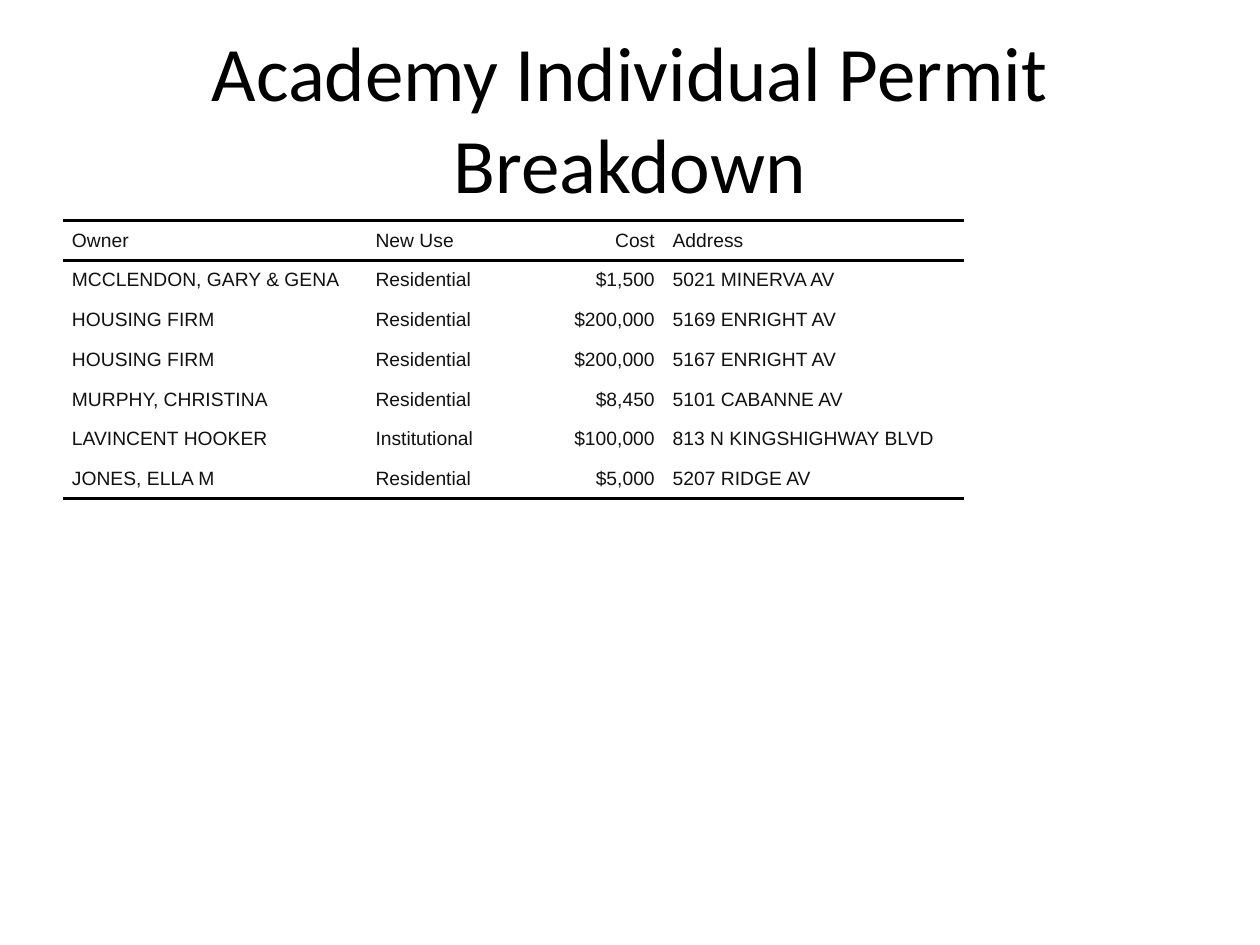
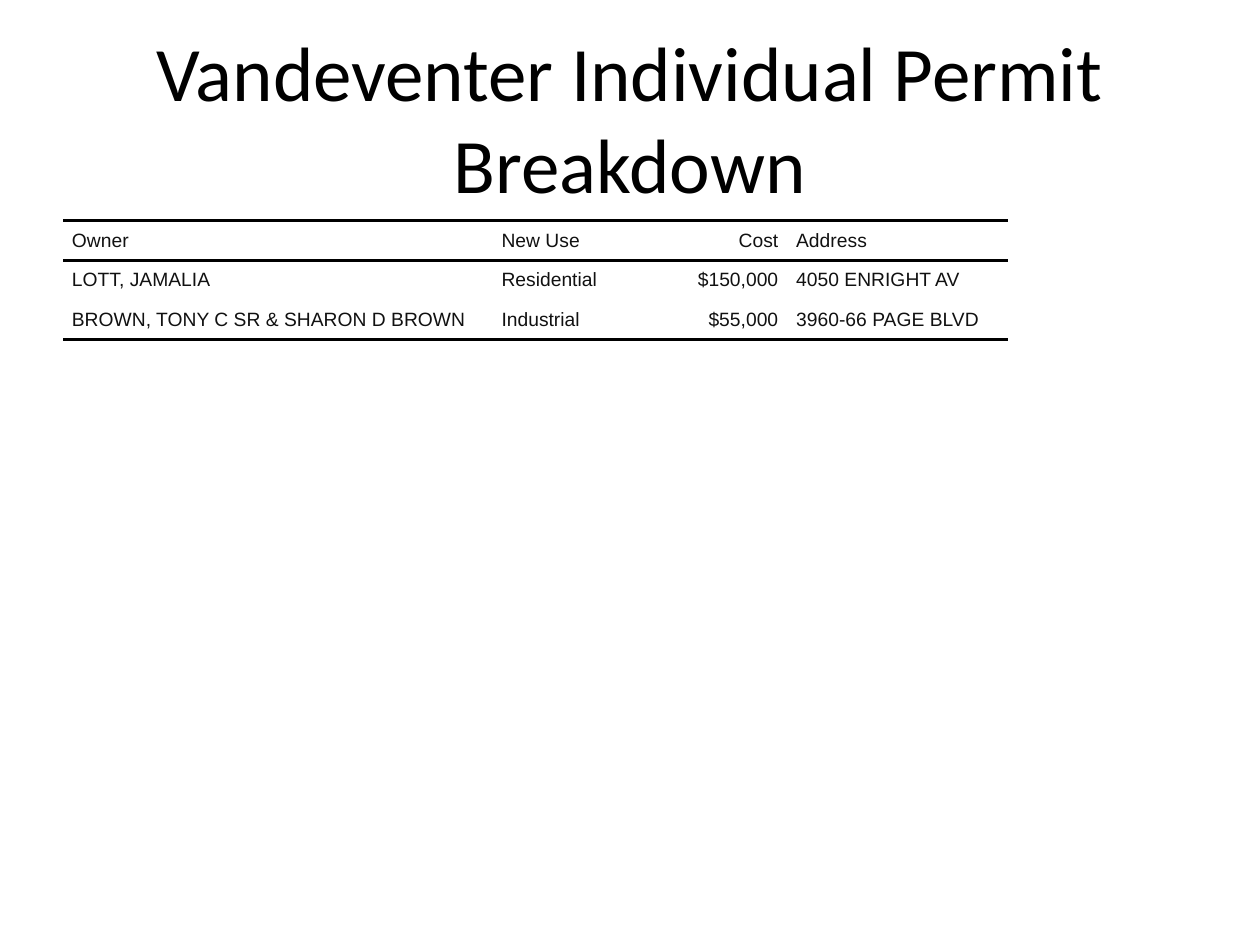
from pptx import Presentation
from pptx.dml.color import RGBColor
from pptx.enum.text import MSO_ANCHOR, MSO_AUTO_SIZE, PP_ALIGN
from pptx.oxml.ns import qn
from pptx.util import Cm, Pt
from lxml import etree

MIDDLE = MSO_ANCHOR.MIDDLE
NO_AUTOFIT = MSO_AUTO_SIZE.NONE
LEFT, CENTER, RIGHT = PP_ALIGN.LEFT, PP_ALIGN.CENTER, PP_ALIGN.RIGHT

BLACK = RGBColor(0x00, 0x00, 0x00)
INK = RGBColor(0x11, 0x11, 0x11)
TITLE_FONT, TABLE_FONT = "Calibri", "Arial"

TITLE_ONLY = 5
TITLE_BOX = (Cm(1.27), Cm(0.76), Cm(22.86), Cm(3.18))
TABLE_ORIGIN = (Cm(1.27), Cm(4.45))
ROW_HEIGHT = Cm(0.8)
CELL_INDENT = Cm(0.18)
RULE_WIDTH = Pt(2)

HEADINGS = ("Owner", "New Use", "Cost", "Address")
ALIGNMENTS = (LEFT, LEFT, RIGHT, LEFT)

ACADEMY_PERMITS = [
    ("MCCLENDON, GARY & GENA", "Residential", "$1,500", "5021 MINERVA AV"),
    ("HOUSING FIRM", "Residential", "$200,000", "5169 ENRIGHT AV"),
    ("HOUSING FIRM", "Residential", "$200,000", "5167 ENRIGHT AV"),
    ("MURPHY, CHRISTINA", "Residential", "$8,450", "5101 CABANNE AV"),
    ("LAVINCENT HOOKER", "Institutional", "$100,000", "813 N KINGSHIGHWAY BLVD"),
    ("JONES, ELLA M", "Residential", "$5,000", "5207 RIDGE AV"),
]
VANDEVENTER_PERMITS = [
    ("LOTT, JAMALIA", "Residential", "$150,000", "4050 ENRIGHT AV"),
    ("BROWN, TONY C SR & SHARON D BROWN", "Industrial", "$55,000", "3960-66 PAGE BLVD"),
]
PERMIT_SLIDES = [
    ("Academy", ACADEMY_PERMITS, (6.12, 2.69, 3.3, 6.05)),
    ("Vandeventer", VANDEVENTER_PERMITS, (8.66, 2.64, 3.3, 4.45)),
]


def write_text(frame, text, font, size, color, align, indent=0, spacing=0):
    """Fill a text frame with one formatted paragraph."""
    frame.word_wrap = True
    paragraph = frame.paragraphs[0]
    paragraph.alignment = align
    paragraph.space_before = paragraph.space_after = Pt(spacing)
    properties = paragraph._p.get_or_add_pPr()
    for side in ("marL", "marR"):
        properties.set(side, str(int(indent)))
    properties.set("indent", "0")
    run = paragraph.add_run()
    run.text = text
    run.font.name = font
    run.font.size = Pt(size)
    run.font.color.rgb = color


def set_borders(cell, ruled_sides):
    """Draw rules on the named cell sides and clear the others."""
    properties = cell._tc.get_or_add_tcPr()
    for position, side in enumerate(("L", "R", "T", "B")):
        line = etree.Element(qn(f"a:ln{side}"))
        if side in ruled_sides:
            line.set("w", str(int(RULE_WIDTH)))
            fill = etree.SubElement(line, qn("a:solidFill"))
            etree.SubElement(fill, qn("a:srgbClr"), val=str(BLACK))
        else:
            etree.SubElement(line, qn("a:noFill"))
        properties.insert(position, line)


def add_title(slide, text, box):
    """Place and format the title placeholder."""
    title = slide.shapes.title
    title.left, title.top, title.width, title.height = box
    title.text_frame.auto_size = NO_AUTOFIT
    title.text_frame.vertical_anchor = MIDDLE
    write_text(title.text_frame, text, font=TITLE_FONT, size=44, color=BLACK, align=CENTER)


def add_permit_table(slide, permits, column_widths, origin):
    """Add a table ruled above and below its heading and after its last row."""
    rows = [HEADINGS, *permits]
    widths = [Cm(width) for width in column_widths]
    table = slide.shapes.add_table(
        len(rows), len(widths), *origin, sum(widths), ROW_HEIGHT * len(rows)
    ).table
    table.first_row = table.horz_banding = False
    for column, width in zip(table.columns, widths):
        column.width = width
    for row_index, values in enumerate(rows):
        table.rows[row_index].height = ROW_HEIGHT
        ruled_sides = "T" if row_index <= 1 else ""
        if row_index in (0, len(rows) - 1):
            ruled_sides += "B"
        for column_index, value in enumerate(values):
            cell = table.cell(row_index, column_index)
            cell.margin_left = cell.margin_right = cell.margin_top = cell.margin_bottom = 0
            cell.vertical_anchor = MIDDLE
            cell.fill.background()
            set_borders(cell, ruled_sides)
            write_text(cell.text_frame, value, font=TABLE_FONT, size=11, color=INK,
                       align=ALIGNMENTS[column_index], indent=CELL_INDENT, spacing=2)


def add_permit_slide(presentation, area, permits, column_widths):
    """Add a slide listing the permits of one area."""
    slide = presentation.slides.add_slide(presentation.slide_layouts[TITLE_ONLY])
    add_title(slide, f"{area} Individual Permit Breakdown", TITLE_BOX)
    add_permit_table(slide, permits, column_widths, TABLE_ORIGIN)


def main():
    """Build and save the presentation."""
    presentation = Presentation()
    presentation.slide_width, presentation.slide_height = Cm(25.4), Cm(19.05)
    for area, permits, column_widths in PERMIT_SLIDES:
        add_permit_slide(presentation, area, permits, column_widths)
    presentation.save("out.pptx")


if __name__ == "__main__":
    main()
